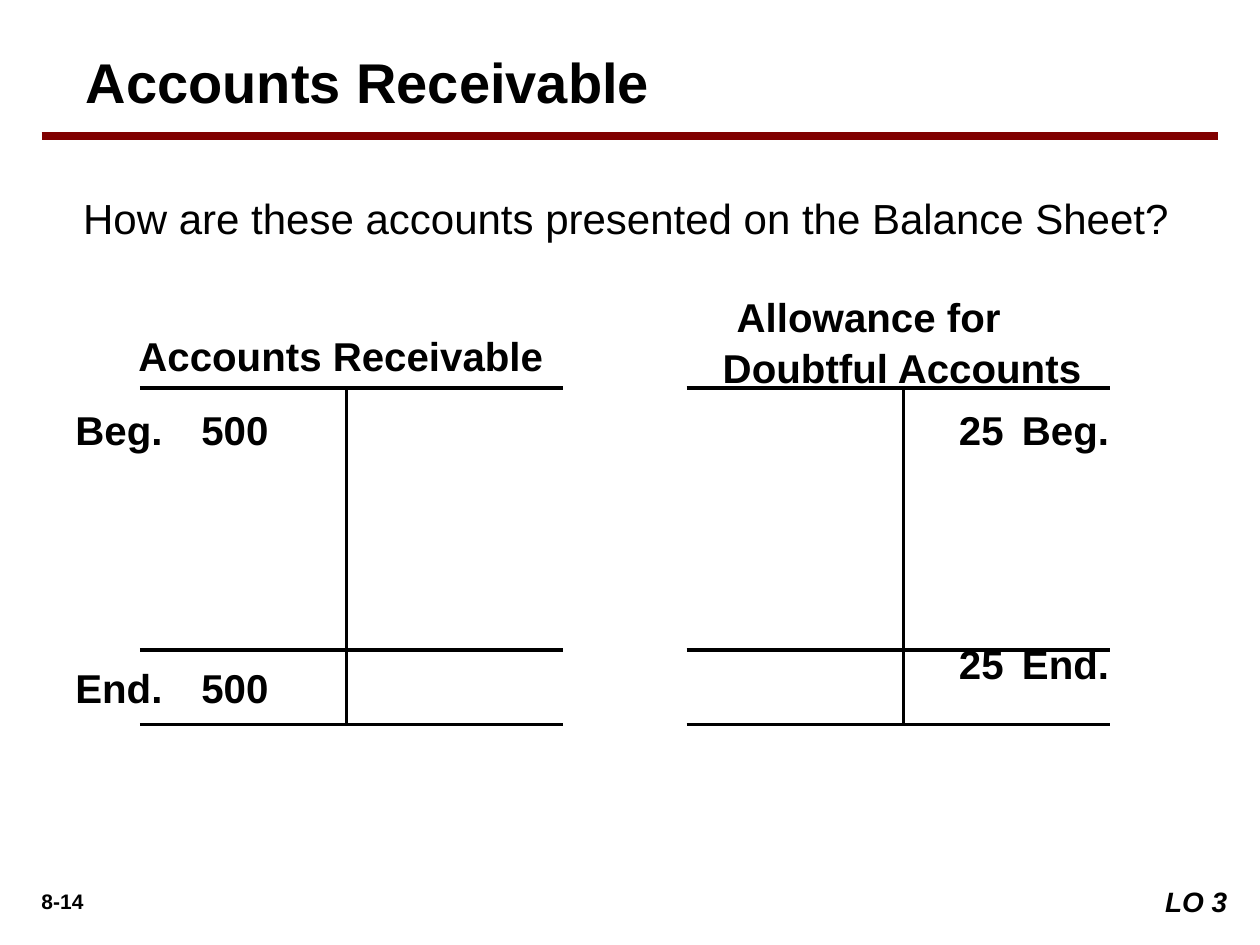
from lxml import etree
from pptx import Presentation
from pptx import util as u
from pptx.dml.color import RGBColor
from pptx.enum import shapes, text
from pptx.oxml.ns import qn

BLACK = RGBColor(0, 0, 0)
WHITE = RGBColor(255, 255, 255)
MAROON = RGBColor(128, 0, 0)

FRAME = dict(word_wrap=True, auto_size=text.MSO_AUTO_SIZE.NONE,
             vertical_anchor=text.MSO_ANCHOR.TOP,
             margin_left=u.Pt(7.2), margin_right=u.Pt(7.2),
             margin_top=u.Pt(3.6), margin_bottom=u.Pt(3.6))
BOLD = dict(name="Arial", size=u.Pt(23), bold=True, italic=False)

RULES = (221.8, 371.5, 414)
ACCOUNT_WIDTH = 242


def set_all(target, values):
    for name, value in values.items():
        setattr(target, name, value)


def place(shape, left, top, width, height):
    set_all(shape, dict(left=u.Pt(left), top=u.Pt(top),
                        width=u.Pt(width), height=u.Pt(height)))


def write(shape, words, font=None, align=text.PP_ALIGN.LEFT, frame=None,
          indent=0, tab=None, spacing=1.0):
    """Fill a shape with one unbulleted paragraph; indent and tab are in points."""
    set_all(shape.text_frame, {**FRAME, **(frame or {})})
    para = shape.text_frame.paragraphs[0]
    para.text = words
    set_all(para, dict(alignment=align, line_spacing=spacing,
                       space_before=u.Pt(0)))
    props = para._p.get_or_add_pPr()
    props.set("marL", "0")
    props.set("indent", str(u.Pt(indent)))
    etree.SubElement(props, qn("a:buNone"))
    if tab:
        tabs = etree.SubElement(props, qn("a:tabLst"))
        etree.SubElement(tabs, qn("a:tab"), pos=str(u.Pt(tab)), algn="l")
    span = para.runs[0] if len(para.runs) == 1 else para
    set_all(span.font, {**BOLD, **(font or {})})
    span.font.color.rgb = BLACK


def add_label(page, words, left, top, width, height, **style):
    box = page.shapes.add_textbox(0, 0, 0, 0)
    place(box, left, top, width, height)
    write(box, words, **style)
    return box


def add_line(page, x1, y1, x2, y2, color=BLACK, weight=2):
    line = page.shapes.add_connector(
        shapes.MSO_CONNECTOR.STRAIGHT, u.Pt(x1), u.Pt(y1), u.Pt(x2), u.Pt(y2))
    line.line.color.rgb = color
    line.line.width = u.Pt(weight)
    etree.SubElement(line._element.spPr, qn("a:effectLst"))


def add_t_account(page, left, stem):
    for y in RULES:
        add_line(page, left, y, left + ACCOUNT_WIDTH, y)
    add_line(page, stem, RULES[0], stem, RULES[-1])


def add_balance(page, words, left, top, inset, tab):
    """Add a row whose label and amount are parted by a tab stop."""
    add_label(page, words, left, top, 155.5, 34.5, tab=tab,
              frame=dict(margin_left=u.Pt(inset)))


def main():
    deck = Presentation()
    set_all(deck, dict(slide_width=u.Pt(720), slide_height=u.Pt(540)))
    page = deck.slides.add_slide(deck.slide_layouts[1])

    title, body = page.placeholders
    place(title, 41.8, 23.8, 648, 44)
    write(title, "Accounts Receivable", font=dict(size=u.Pt(32)))
    place(body, 40.3, 102.2, 643.7, 71.3)
    write(body, "How are these accounts presented on the Balance Sheet?",
          font=dict(size=u.Pt(24), bold=False), spacing=1.15)
    add_line(page, 23.8, 77.8, 696.2, 77.8, MAROON, 4.5)

    add_t_account(page, 80, 198)
    add_t_account(page, 392.4, 516.2)
    add_label(page, "Accounts Receivable", 72, 185.8, 275.8, 34.6)
    add_label(page, "Allowance for Doubtful Accounts", 378, 162, 275.8, 62,
              indent=8, spacing=1.06,
              frame=dict(margin_left=u.Pt(35), margin_right=u.Pt(30)))

    add_balance(page, "Beg.\t500", 36, 228.2, 7.2, 94.5)
    add_balance(page, "End.\t500", 36, 375.5, 7.2, 94.5)
    add_balance(page, "25\tBeg.", 522, 228.2, 26, 64)
    add_balance(page, "25\tEnd.", 522, 361.5, 26, 64)

    add_label(page, "8-14", 5.8, 504, 59.8, 21.6, font=dict(size=u.Pt(12)),
              align=text.PP_ALIGN.CENTER)
    objective = add_label(page, "LO 3", 642.2, 501.8, 66.2, 26.6,
                          font=dict(size=u.Pt(16), italic=True),
                          align=text.PP_ALIGN.RIGHT)
    objective.fill.solid()
    objective.fill.fore_color.rgb = WHITE

    deck.save("out.pptx")


if __name__ == "__main__":
    main()
